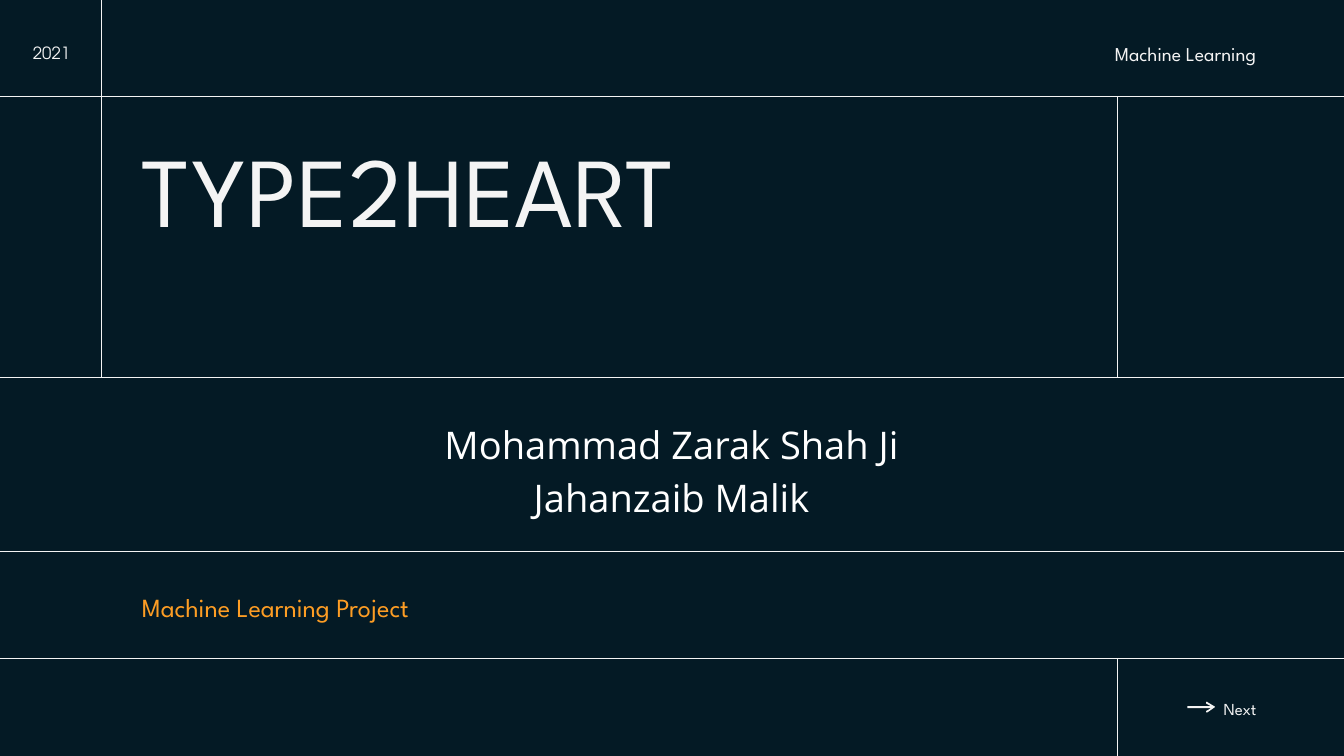
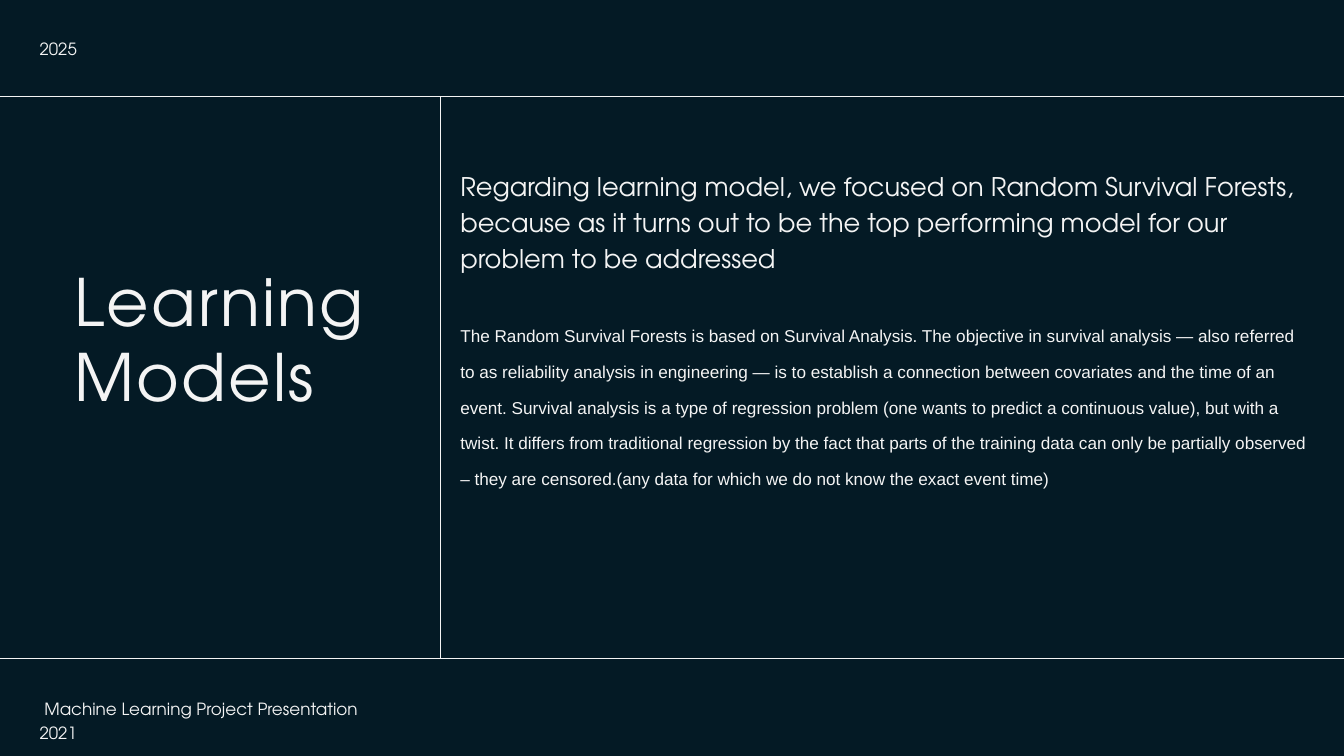
from lxml.etree import SubElement
from pptx import Presentation
from pptx.dml.color import RGBColor
from pptx.enum.text import MSO_ANCHOR, MSO_AUTO_SIZE, PP_ALIGN
from pptx.enum.shapes import MSO_CONNECTOR
from pptx.oxml.ns import qn
from pptx.util import Inches, Pt

COLOURS = {"night": "041A25", "mist": "F4F4F4", "amber": "FD9D24", "white": "FFFFFF"}
SPARTAN, ADVENTOR = "League Spartan", "TeX Gyre Adventor"
WIDTH, HEIGHT = 20, 11.25

# Grid shared by both slides: ruled rows and columns, in inches
ROWS = {"top": 0, "header": 1.44, "title": 5.62, "names": 8.21, "footer": 9.8, "bottom": HEIGHT}
COLUMNS = {"left": 0, "year": 1.51, "split": 6.55, "side": 16.63, "right": WIDTH}
TITLE_LEFT = 2.11
FOOTER_TEXT_TOP = 10.35


def write(box, place, lines, font, size, leading, colour="mist", align=PP_ALIGN.LEFT):
    """Place a text shape and fill it with one run per paragraph."""
    box.left, box.top, box.width, box.height = [Inches(length) for length in place]
    frame = box.text_frame
    frame.word_wrap = True
    frame.auto_size = MSO_AUTO_SIZE.NONE
    frame.vertical_anchor = MSO_ANCHOR.TOP
    frame.margin_left = frame.margin_top = frame.margin_right = frame.margin_bottom = 0
    for number, line in enumerate(lines):
        para = frame.add_paragraph() if number else frame.paragraphs[0]
        properties = para._p.get_or_add_pPr()
        properties.set("marL", "0")
        properties.set("indent", "0")
        para.alignment = align
        para.line_spacing = Pt(leading)
        para.space_before = para.space_after = Pt(0)
        SubElement(properties, qn("a:buNone"))
        span = para.add_run()
        span.text = line
        span.font.name, span.font.size = font, Pt(size)
        span.font.color.rgb = RGBColor.from_string(COLOURS[colour])
    return frame


def rule_lines(page, lines):
    for x1, y1, x2, y2 in lines:
        rule = page.shapes.add_connector(
            MSO_CONNECTOR.STRAIGHT, Inches(x1), Inches(y1), Inches(x2), Inches(y2))
        rule.line.color.rgb = RGBColor.from_string(COLOURS["mist"])
        rule.line.width = Pt(0.75)
        SubElement(rule._element.spPr, qn("a:effectLst"))


deck = Presentation()
deck.slide_width, deck.slide_height = Inches(WIDTH), Inches(HEIGHT)
backdrop = deck.slide_master.background.fill
backdrop.solid()
backdrop.fore_color.rgb = RGBColor.from_string(COLOURS["night"])
cover = deck.slides.add_slide(deck.slide_layouts[0])
models = deck.slides.add_slide(deck.slide_layouts[1])

# Ruled grid: full-width rows, then the columns of each slide
cover_rows = ("header", "title", "names", "footer")
models_rows = ("header", "footer")
cover_columns = (("year", "top", "title"), ("side", "header", "title"), ("side", "footer", "bottom"))
models_columns = (("split", "header", "footer"),)
for page, rows, columns in ((cover, cover_rows, cover_columns),
                            (models, models_rows, models_columns)):
    rule_lines(page, [(0, ROWS[row], WIDTH, ROWS[row]) for row in rows])
    rule_lines(page, [(COLUMNS[column], ROWS[start], COLUMNS[column], ROWS[end])
                      for column, start, end in columns])

# Cover
write(cover.shapes.title, (TITLE_LEFT, 1.99, 14.27, 1.71), ["TYPE2HEART"], SPARTAN, 106.1, 122)
write(cover.placeholders[1], (6.61, 6.16, 6.77, 1.57),
      ["Mohammad Zarak Shah Ji", "Jahanzaib Malik"],
      "Open Sans", 40.8, 57.1, "white", PP_ALIGN.CENTER)

# Small labels of both slides
labels = (
    (cover, (0.49, 0.58, 0.85, 0.33), "2021", ADVENTOR, 18, "mist"),
    (cover, (16.59, 0.57, 2.57, 0.39), "Machine Learning", SPARTAN, 21, "mist"),
    (cover, (TITLE_LEFT, 8.72, 14.29, 0.53), "Machine Learning Project", SPARTAN, 28, "amber"),
    (cover, (18.21, FOOTER_TEXT_TOP, 0.67, 0.33), "Next", SPARTAN, 18, "mist"),
    (models, (0.59, 0.53, 1.26, 0.33), "2025", ADVENTOR, 18, "mist"),
)
for page, place, words, font, size, colour in labels:
    write(page.shapes.add_textbox(0, 0, 0, 0), place, [words], font, size, size * 1.4, colour)

# Arrow beside "Next", in hundredths of an inch
arrow_points = [(1807, 1051), (1797, 1045), (1796, 1044), (1795, 1045), (1795, 1047),
                (1802, 1051), (1767, 1051), (1767, 1054), (1802, 1054), (1795, 1058),
                (1795, 1060), (1797, 1060), (1807, 1053), (1808, 1052)]
outline = cover.shapes.build_freeform(*arrow_points[0], scale=Inches(0.01))
outline.add_line_segments(arrow_points[1:], close=True)
arrow = outline.convert_to_shape()
arrow.shadow.inherit = False
arrow.fill.solid()
arrow.fill.fore_color.rgb = RGBColor.from_string(COLOURS["mist"])
arrow.line.fill.background()

# Learning models
heading = write(models.shapes.title, (1.11, 3.94, 4.72, 2.25), ["Learning Models"],
                ADVENTOR, 70, 80.5)
heading.paragraphs[0].runs[0]._r.get_or_add_rPr().set("spc", "240")

body = write(models.placeholders[1], (6.85, 2.47, 12.6, 6.82), [
    "Regarding learning model, we focused on Random Survival Forests, because as it turns out "
    "to be the top performing model for our problem to be addressed",
    "The Random Survival Forests is based on Survival Analysis. The objective in survival "
    "analysis — also referred to as reliability analysis in engineering — is to establish a "
    "connection between covariates and the time of an event. Survival analysis is a type of "
    "regression problem (one wants to predict a continuous value), but with a twist. It differs "
    "from traditional regression by the fact that parts of the training data can only be "
    "partially observed – they are censored.(any data for which we do not know the exact event "
    "time)",
], ADVENTOR, 27.5, 38.5)
explanation = body.paragraphs[1]
explanation.space_before = Pt(38.5)
explanation.runs[0].font.name = "Arial"
explanation.runs[0].font.size = Pt(18.4)

footer = write(models.shapes.add_textbox(0, 0, 0, 0), (0.59, FOOTER_TEXT_TOP, 5.24, 0.33),
               ["Machine Learning Project Presentation 2021"], ADVENTOR, 18, 25.2)
footer.paragraphs[0]._p.get_or_add_pPr().set("indent", str(Inches(0.07)))

deck.save("out.pptx")
